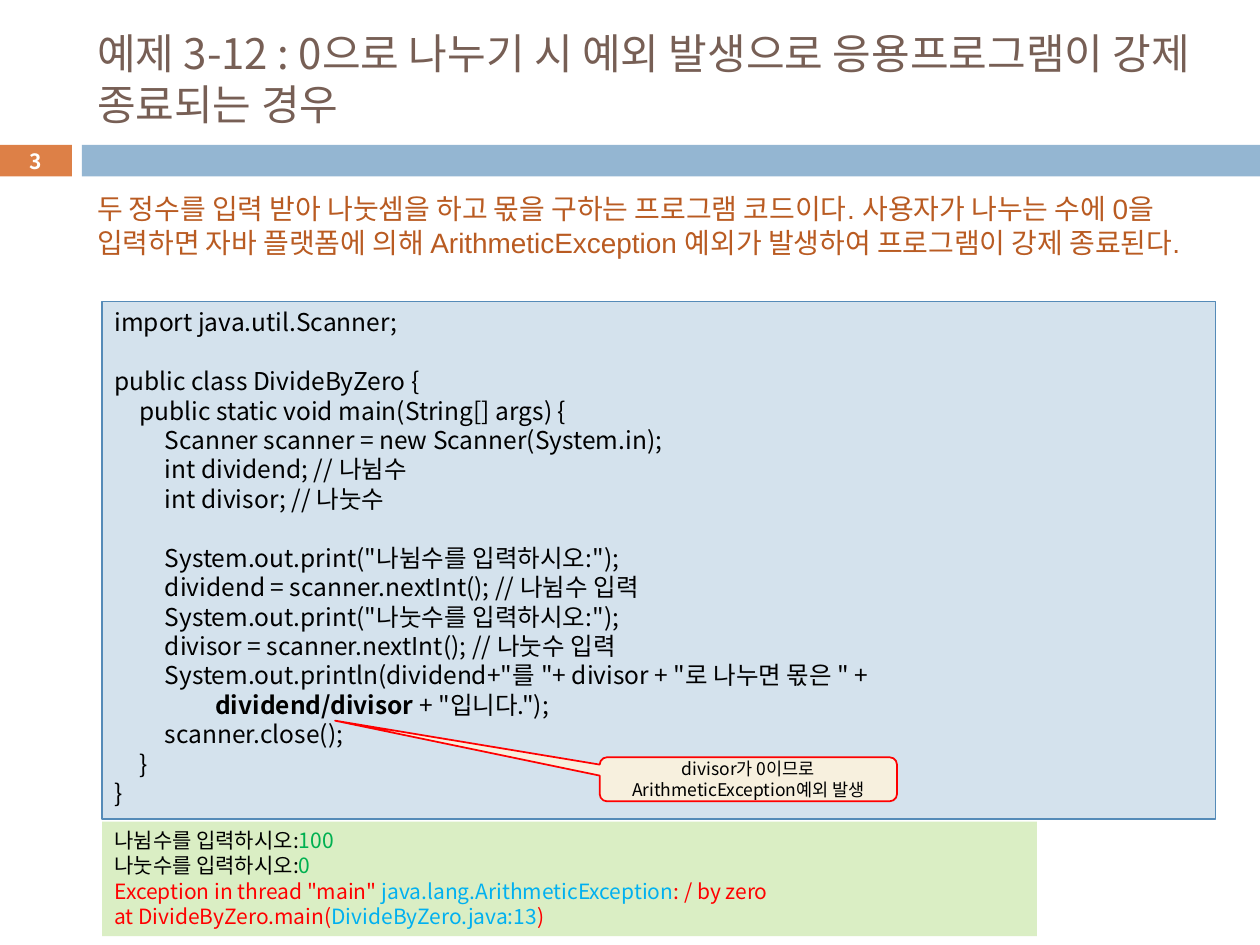
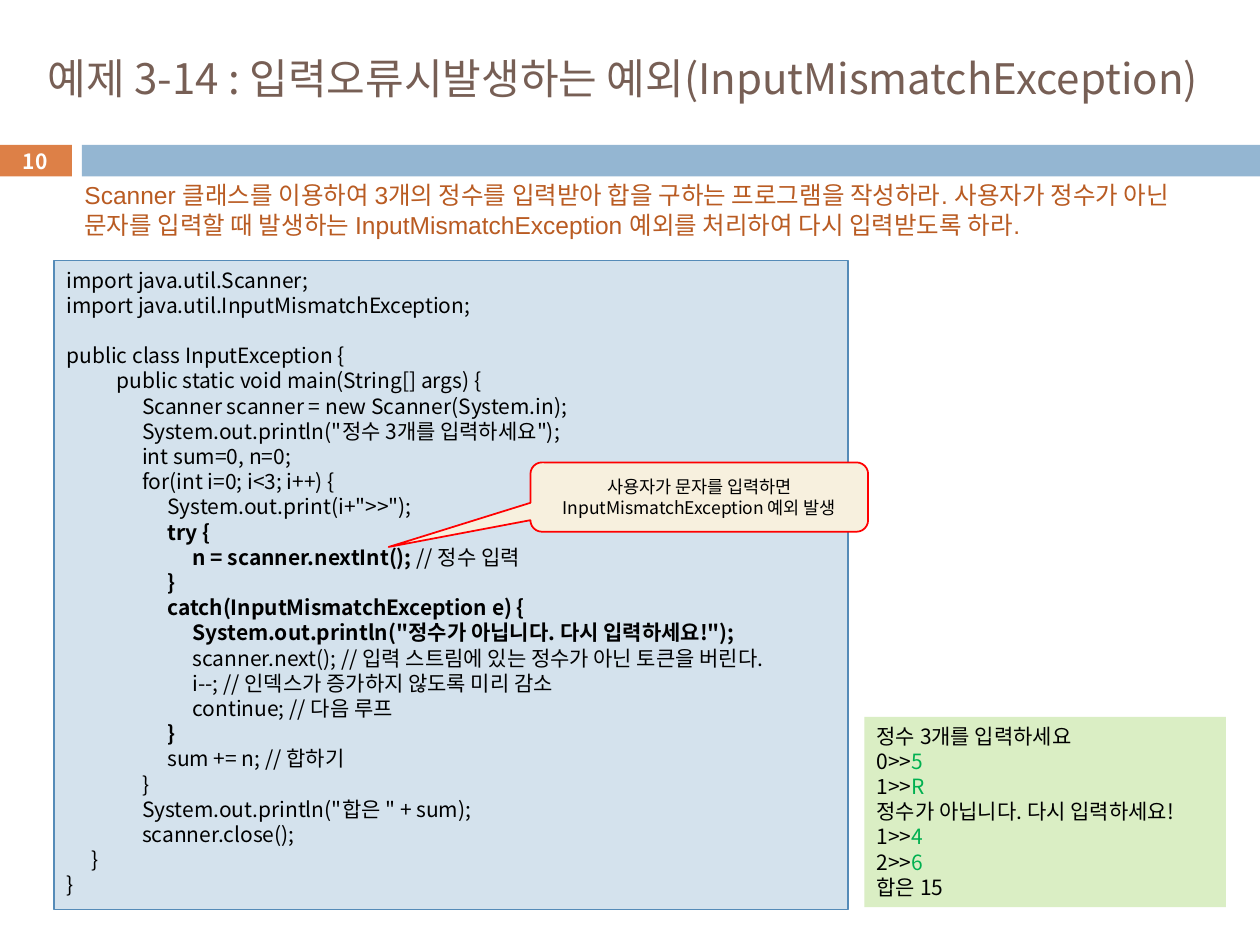
from pptx import Presentation
from pptx.util import Inches, Pt
from pptx.dml.color import RGBColor as RGB
from pptx.enum.shapes import MSO_SHAPE as Shape
from pptx.enum.text import MSO_ANCHOR as Anchor, MSO_AUTO_SIZE as Fit, PP_ALIGN as Align
from lxml.etree import SubElement
from pptx.oxml.ns import qn

# Shared look
KOR, LATIN = "Noto Sans CJK KR", "Arial"
BLACK, WHITE = RGB(0, 0, 0), RGB(255, 255, 255)
BROWN, RUST = RGB(0x77, 0x5F, 0x55), RGB(0xB9, 0x5B, 0x22)
ORANGE, BLUE = RGB(0xDD, 0x80, 0x47), RGB(0x94, 0xB6, 0xD2)
PALE, EDGE = RGB(0xD4, 0xE2, 0xED), RGB(0x55, 0x8B, 0xB8)
MINT, CREAM = RGB(0xDA, 0xEE, 0xC4), RGB(0xF7, 0xF0, 0xDE)
GREEN, RED, SKY = RGB(0, 0xB0, 0x50), RGB(255, 0, 0), RGB(0, 0xB0, 0xF0)
BOLD = "bold"
STEP = 0.2      # indent of one code level, inches
LEAD = 1.2      # line height as a multiple of the text size

# Content: a line is (level, run, ...); a run is text or (text, mark); None is a gap
SLIDES = [
    dict(
        number="3",
        title="예제 3-12 : 0으로 나누기 시 예외 발생으로 응용프로그램이 강제 종료되는 경우",
        title_at=(0.67, 0.25, 8.92, 0.74),
        task="두 정수를 입력 받아 나눗셈을 하고 몫을 구하는 프로그램 코드이다. "
             "사용자가 나누는 수에 0을 입력하면 자바 플랫폼에 의해 "
             "ArithmeticException 예외가 발생하여 프로그램이 강제 종료된다.",
        task_at=(0.67, 1.47, 8.74, 0.91),
        task_size=16,
        code=[
            (0, "import java.util.Scanner;"),
            None,
            (0, "public class DivideByZero {"),
            (1, "public static void main(String[] args) {"),
            (2, "Scanner scanner = new Scanner(System.in);"),
            (2, "int dividend; // 나뉨수"),
            (2, "int divisor; // 나눗수"),
            None,
            (2, 'System.out.print("나뉨수를 입력하시오:");'),
            (2, "dividend = scanner.nextInt(); // 나뉨수 입력"),
            (2, 'System.out.print("나눗수를 입력하시오:");'),
            (2, "divisor = scanner.nextInt(); // 나눗수 입력"),
            (2, 'System.out.println(dividend+"를 "+ divisor + "로 나누면 몫은 " +'),
            (4, ("dividend/divisor", BOLD), ' + "입니다.");'),
            (2, "scanner.close();"),
            (1, "}"),
            (0, "}"),
        ],
        code_at=(0.81, 2.39, 8.84, 4.11),
        code_size=14,
        output=[
            (0, "나뉨수를 입력하시오:", ("100", GREEN)),
            (0, "나눗수를 입력하시오:", ("0", GREEN)),
            (0, ('Exception in thread "main" ', RED),
             ("java.lang.ArithmeticException", SKY), (": / by zero", RED)),
            (0, ("at DivideByZero.main(", RED), ("DivideByZero.java:13", SKY), (")", RED)),
        ],
        output_at=(0.81, 6.52, 7.42, 0.91),
        hint=[(0, "divisor가 0이므로"), (0, "ArithmeticException예외 발생")],
        hint_at=(4.76, 6.01, 2.36, 0.35),
        tip=(-1.39, -1.33),
    ),
    dict(
        number="10",
        title="예제 3-14 : 입력오류시발생하는 예외(InputMismatchException)",
        title_at=(0.28, 0.25, 9.61, 0.74),
        task="Scanner 클래스를 이용하여 3개의 정수를 입력받아 합을 구하는 프로그램을 "
             "작성하라. 사용자가 정수가 아닌 문자를 입력할 때 발생하는 "
             "InputMismatchException 예외를 처리하여 다시 입력받도록 하라.",
        task_at=(0.57, 1.38, 9.15, 0.57),
        task_size=14,
        code=[
            (0, "import java.util.Scanner;"),
            (0, "import java.util.InputMismatchException;"),
            None,
            (0, "public class InputException {"),
            (2, "public static void main(String[] args) {"),
            (3, "Scanner scanner = new Scanner(System.in);"),
            (3, 'System.out.println("정수 3개를 입력하세요");'),
            (3, "int sum=0, n=0;"),
            (3, "for(int i=0; i<3; i++) {"),
            (4, 'System.out.print(i+">>");'),
            (4, ("try {", BOLD)),
            (5, ("n = scanner.nextInt(); ", BOLD), "// 정수 입력"),
            (4, ("}", BOLD)),
            (4, ("catch(InputMismatchException e) {", BOLD)),
            (5, ('System.out.println("정수가 아닙니다. 다시 입력하세요!");', BOLD)),
            (5, "scanner.next(); // 입력 스트림에 있는 정수가 아닌 토큰을 버린다."),
            (5, "i--; // 인덱스가 증가하지 않도록 미리 감소"),
            (5, "continue; // 다음 루프"),
            (4, ("}", BOLD)),
            (4, "sum += n; // 합하기"),
            (3, "}"),
            (3, 'System.out.println("합은 " + sum);'),
            (3, "scanner.close();"),
            (1, "}"),
            (0, "}"),
        ],
        code_at=(0.43, 2.07, 6.3, 5.15),
        code_size=12,
        output=[
            (0, "정수 3개를 입력하세요"),
            (0, "0>>", ("5", GREEN)),
            (0, "1>>", ("R", GREEN)),
            (0, "정수가 아닙니다. 다시 입력하세요!"),
            (0, "1>>", ("4", GREEN)),
            (0, "2>>", ("6", GREEN)),
            (0, "합은 15"),
        ],
        output_at=(6.86, 5.69, 2.87, 1.51),
        hint=[(0, "사용자가 문자를 입력하면"), (0, "InputMismatchException 예외 발생")],
        hint_at=(4.21, 3.67, 2.68, 0.55),
        tip=(-0.92, 0.72),
    ),
]


def place(shape, at):
    shape.left, shape.top, shape.width, shape.height = map(Inches, at)


def write(shape, lines, size, color=BLACK, font=KOR, align=Align.LEFT, anchor=Anchor.TOP):
    """Fill a shape with lines; a gap becomes space before the next line."""
    frame = shape.text_frame
    frame.word_wrap, frame.auto_size = True, Fit.NONE
    frame.vertical_anchor = anchor
    para, gap = frame.paragraphs[0], 0
    for line in lines:
        if line is None:
            gap += size * LEAD
            continue
        level, *runs = line
        para = para or frame.add_paragraph()
        para.alignment = align
        para.line_spacing, para.space_before = Pt(size * LEAD), Pt(gap)
        props = para._p.get_or_add_pPr()
        props.set("marL", str(Inches(level * STEP)))
        props.set("indent", "0")
        SubElement(props, qn("a:buNone"))
        for item in runs:
            text, mark = (item, None) if isinstance(item, str) else item
            run = para.add_run()
            run.text = text
            run.font.size, run.font.name = Pt(size), font
            run.font.bold = mark == BOLD
            run.font.color.rgb = mark if isinstance(mark, RGB) else color
            SubElement(run.font._element, qn("a:ea"), typeface=KOR)
        para, gap = None, 0


def box(slide, at, fill, edge=None, width=0.75, kind=Shape.RECTANGLE):
    shape = slide.shapes.add_shape(kind, *map(Inches, at))
    shape.shadow.inherit = False
    shape.fill.solid()
    shape.fill.fore_color.rgb = fill
    if edge is None:
        shape.line.fill.background()
    else:
        shape.line.color.rgb, shape.line.width = edge, Pt(width)
    return shape


def build(deck, data):
    slide = deck.slides.add_slide(deck.slide_layouts[1])
    title, task = slide.placeholders

    # Band and slide number
    badge = box(slide, (-0.01, 1.15, 0.58, 0.25), ORANGE)
    box(slide, (0.65, 1.15, 9.35, 0.25), BLUE)
    write(badge, [(0, (data["number"], BOLD))], 12, WHITE,
          align=Align.CENTER, anchor=Anchor.MIDDLE)

    # Title and task
    place(title, data["title_at"])
    write(title, [(0, data["title"])], 24, BROWN, anchor=Anchor.MIDDLE)
    place(task, data["task_at"])
    write(task, [(0, data["task"])], data["task_size"], RUST, LATIN)

    # Code and its output
    write(box(slide, data["code_at"], PALE, EDGE), data["code"], data["code_size"])
    write(box(slide, data["output_at"], MINT), data["output"], 12)

    # Callout
    hint = box(slide, data["hint_at"], CREAM, RED, 1, Shape.ROUNDED_RECTANGULAR_CALLOUT)
    for i, value in enumerate(data["tip"]):
        hint.adjustments[i] = value
    write(hint, data["hint"], 10, align=Align.CENTER, anchor=Anchor.MIDDLE)


def main():
    deck = Presentation()
    deck.slide_width, deck.slide_height = Inches(10), Inches(7.5)
    for data in SLIDES:
        build(deck, data)
    deck.save("out.pptx")


if __name__ == "__main__":
    main()
